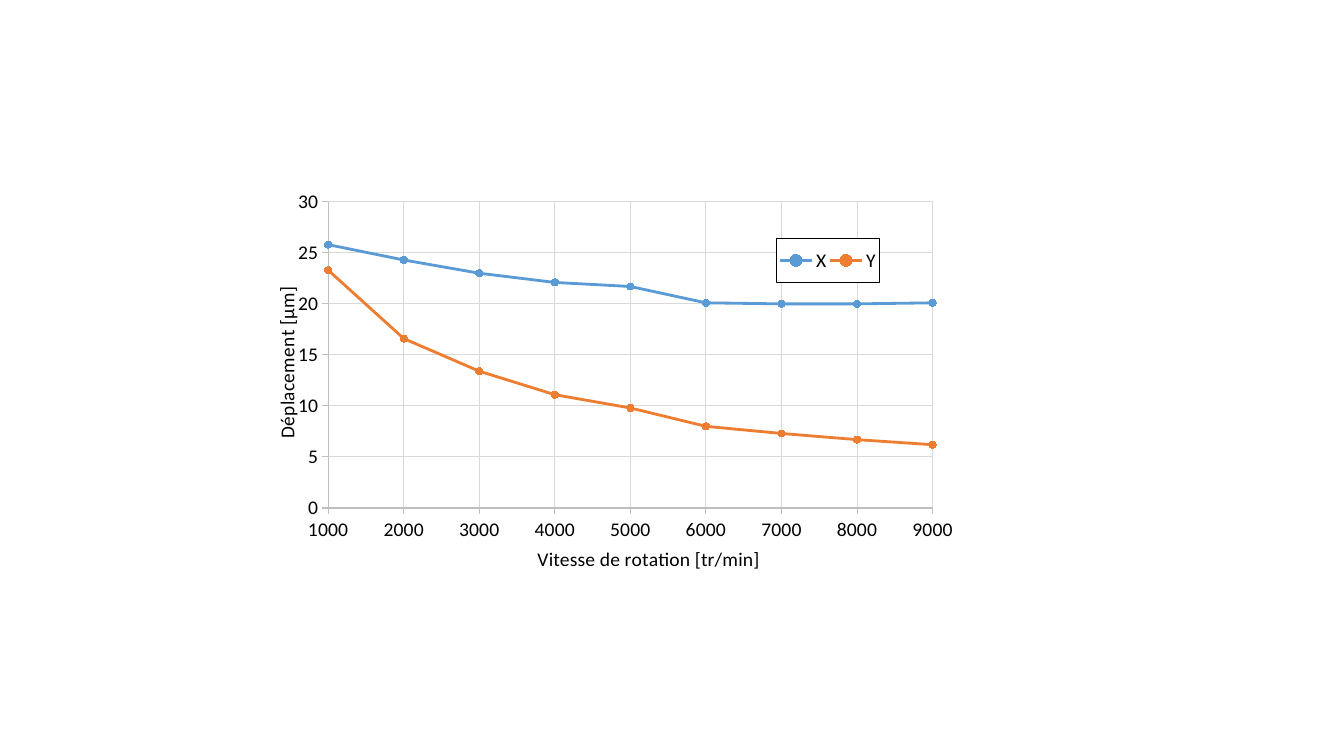
import pptx
import pptx.chart.data
import pptx.dml.color
import pptx.enum.chart
import pptx.oxml
import pptx.oxml.ns
import pptx.util

Pt = pptx.util.Pt
qn = pptx.oxml.ns.qn
enums = pptx.enum.chart

# Content
SPEEDS = range(1000, 9001, 1000)
DISPLACEMENTS = {
    "X": [25.8, 24.3, 23, 22.1, 21.7, 20.1, 20, 20, 20.1],
    "Y": [23.3, 16.6, 13.4, 11.1, 9.8, 8, 7.3, 6.7, 6.2],
}
SPEED_TITLE = "Vitesse de rotation [tr/min]"
DISPLACEMENT_TITLE = "Déplacement [µm]"
COLORS = {"X": "5B9BD5", "Y": "ED7D31", "text": "000000",
          "axis": "BFBFBF", "grid": "D9D9D9", "paper": "FFFFFF"}
FONT, SIZE = "Calibri", 14


def color(name):
    return pptx.dml.color.RGBColor.from_string(COLORS[name])


def style_font(font):
    font.name, font.size, font.bold = FONT, Pt(SIZE), False
    font.color.rgb = color("text")


def style_line(line, name, width):
    line.color.rgb = color(name)
    line.width = Pt(width)


def write(frame, text, **style):
    span = frame.paragraphs[0].add_run()
    span.text = text
    style_font(span.font)
    for key, value in style.items():
        setattr(span.font, key, value)


def place(element, x, y, w=None, h=None, inner=False):
    """Set a manual layout, in fractions of the chart."""
    for old in element.findall(qn("c:layout")):
        element.remove(old)
    target = '<c:layoutTarget val="inner"/>' if inner else ""
    modes = '<c:xMode val="edge"/><c:yMode val="edge"/>'
    sizes = "".join(f'<c:{key} val="{value}"/>'
                    for key, value in zip("xywh", (x, y, w, h)) if value is not None)
    layout = pptx.oxml.parse_xml(
        f'<c:layout {pptx.oxml.ns.nsdecls("c")}><c:manualLayout>'
        f'{target}{modes}{sizes}</c:manualLayout></c:layout>')
    overlay = element.find(qn("c:overlay"))
    if overlay is None:
        element.insert(0, layout)
    else:
        overlay.addprevious(layout)


def style_axis(axis, title, low, high, step, x, y):
    axis.minimum_scale, axis.maximum_scale, axis.major_unit = low, high, step
    axis.major_tick_mark = enums.XL_TICK_MARK.OUTSIDE
    axis.minor_tick_mark = enums.XL_TICK_MARK.NONE
    axis.tick_labels.number_format = "General"
    axis.tick_labels.number_format_is_linked = False
    style_font(axis.tick_labels.font)
    style_line(axis.format.line, "axis", 0.75)
    axis.has_major_gridlines = True
    style_line(axis.major_gridlines.format.line, "grid", 0.75)
    axis.has_title = True
    write(axis.axis_title.text_frame, title)
    place(axis.axis_title._element, x, y)


# Page
deck = pptx.Presentation()
deck.slide_width, deck.slide_height = Pt(960), Pt(540)
page = deck.slides.add_slide(deck.slide_layouts[6])

# Chart
data = pptx.chart.data.XyChartData()
for name, values in DISPLACEMENTS.items():
    series = data.add_series(name)
    for speed, value in zip(SPEEDS, values):
        series.add_data_point(speed, value)
chart = page.shapes.add_chart(
    enums.XL_CHART_TYPE.XY_SCATTER_LINES, Pt(186.5), Pt(128.2),
    Pt(499.7), Pt(284.4), data).chart
chart.has_title = False
style_font(chart.font)
place(chart._chartSpace.chart.plotArea, 0.096, 0.057, 0.864, 0.781, inner=True)

# Series
plot = chart.plots[0]
plot.vary_by_categories = False
for series in plot.series:
    series.smooth = False
    style_line(series.format.line, series.name, 2)
    marker = series.marker
    marker.style, marker.size = enums.XL_MARKER_STYLE.CIRCLE, 5
    marker.format.fill.solid()
    marker.format.fill.fore_color.rgb = color(series.name)
    style_line(marker.format.line, series.name, 0.75)

# Axes
style_axis(chart.category_axis, SPEED_TITLE, 1000, 9000, 1000, 0.39, 0.925)
style_axis(chart.value_axis, DISPLACEMENT_TITLE, 0, 30, 5, 0.012, 0.27)
chart.category_axis.tick_label_position = enums.XL_TICK_LABEL_POSITION.LOW

# Legend
chart.has_legend = True
legend = chart.legend
legend.position = enums.XL_LEGEND_POSITION.RIGHT
legend.include_in_layout = False
style_font(legend.font)
place(legend._element, 0.737, 0.15, 0.147, 0.113)
legend._element.find(qn("c:overlay")).addnext(pptx.oxml.parse_xml(
    f'<c:spPr {pptx.oxml.ns.nsdecls("c", "a")}>'
    f'<a:solidFill><a:srgbClr val="{COLORS["paper"]}"/></a:solidFill>'
    f'<a:ln w="{Pt(0.75)}"><a:solidFill><a:srgbClr val="{COLORS["text"]}"/>'
    '</a:solidFill></a:ln></c:spPr>'))

deck.save("out.pptx")
